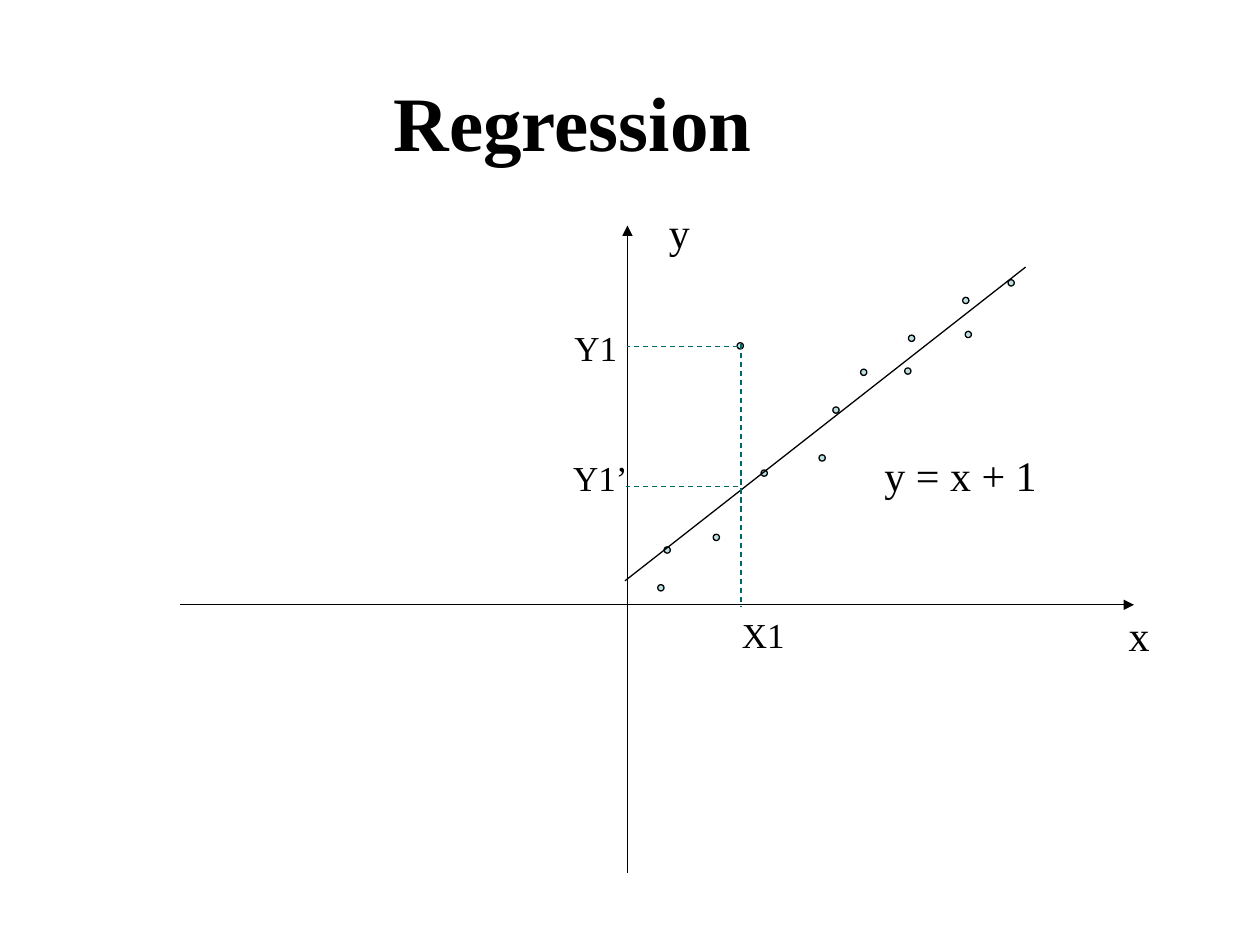
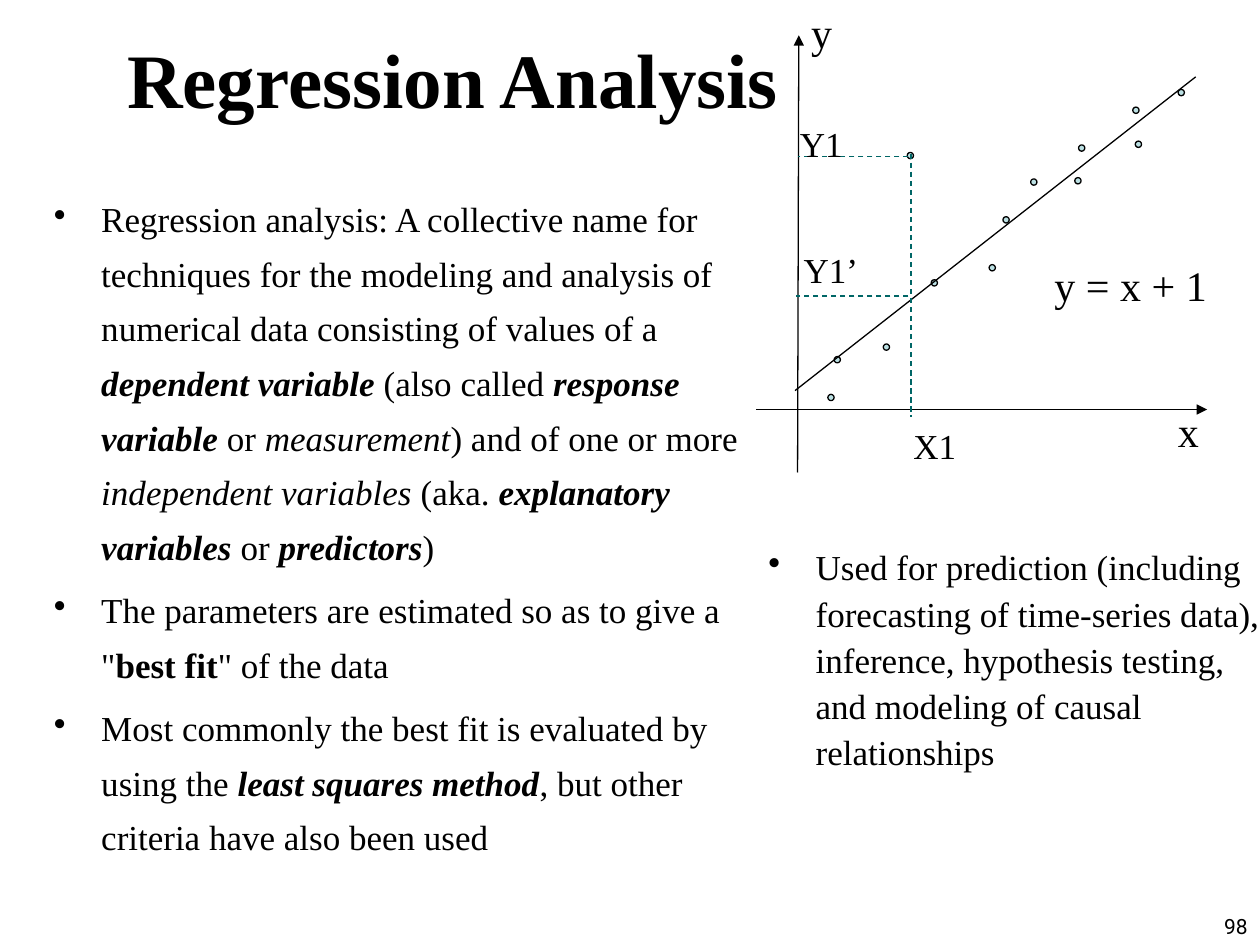
from lxml.etree import SubElement
from pptx import Presentation
from pptx.dml.color import RGBColor
from pptx.enum.dml import MSO_LINE
from pptx.enum.shapes import MSO_CONNECTOR, MSO_SHAPE
from pptx.enum.text import MSO_ANCHOR, MSO_AUTO_SIZE, PP_ALIGN
from pptx.oxml.ns import qn
from pptx.util import Inches, Pt

WIDTH, HEIGHT = Inches(10), Inches(7.5)
COLUMNS, ROWS = 100, 75
BLACK, TEAL, PALE = "000000", "006666", "BBE0E3"
SERIF, SANS = "Times New Roman", "Roboto"
TITLE_ONLY = 5
DOT = 0.5

# Columns right of the origin, rows above it
POINTS = [
    (2.65, 1.35), (3.15, 4.35), (7.05, 5.35), (10.85, 10.45), (15.45, 11.65),
    (16.55, 15.45), (18.75, 18.45), (22.25, 18.55), (22.55, 21.15),
    (27.05, 21.45), (26.85, 24.15), (30.45, 25.55), (8.95, 20.55),
]
FIT_LINE = (-0.2, 1.9), (31.6, 26.8)
GUIDES = [
    ((9, 20.7), (9, -0.2)),
    ((8.8, 20.5), (0, 20.5)),
    ((8.8, 9.4), (-0.1, 9.4)),
]
# Size in points, width in columns, height in rows
LABEL_SIZES = {
    "x": (24, 3.6, 5), "y": (24, 3.6, 5), "y = x + 1": (24, 14.1, 5),
    "X1": (20, 5.4, 4.4), "Y1": (20, 5.4, 4.4), "Y1’": (20, 6.3, 4.4),
}

REGRESSION_PLOT = {
    "origin": (49.8, 48),
    "axes": [((14.3, 48), (90, 48)), ((49.8, 69.3), (49.8, 17.9))],
    "labels": {"x": (88.6, 47.9), "y": (52.1, 15.9), "y = x + 1": (69.2, 35.2),
               "X1": (57.9, 48.2), "Y1": (44.6, 25.4), "Y1’": (44.5, 35.7)},
}
ANALYSIS_PLOT = {
    "origin": (63.3, 32.9),
    "axes": [((60, 32.5), (95.8, 32.5)), ((63.3, 37.5), (63.4, 2.8))],
    "labels": {"x": (92.5, 31.7), "y": (63.4, 0), "y = x + 1": (82.7, 20.1),
               "X1": (71.5, 33.2), "Y1": (62.5, 9.2), "Y1’": (62.8, 19.2)},
}

# Each run is its text and its style: b for bold, i for italic
DEFINITION = [
    [("Regression analysis: A collective name for techniques for the modeling "
      "and analysis of numerical data consisting of values of a ", ""),
     ("dependent variable ", "bi"), ("(also called ", ""),
     ("response variable ", "bi"), ("or ", ""), ("measurement", "i"),
     (") and of one or more ", ""), ("independent variables", "i"),
     (" (aka. ", ""), ("explanatory variables ", "bi"), ("or ", ""),
     ("predictors", "bi"), (")", "")],
    [('The parameters are estimated so as to give a "', ""),
     ("best fit", "b"), ('" of the data', "")],
    [("Most commonly the best fit is evaluated by using the ", ""),
     ("least squares method", "bi"),
     (", but other criteria have also been used", "")],
]
USES = [
    [("Used for prediction (including forecasting of time-series data), "
      "inference, hypothesis testing, and modeling of causal relationships", "")],
]


def rgb(value):
    """Turn a hex string into a colour."""
    return RGBColor.from_string(value)


def grid(*lengths):
    """Turn alternating columns and rows into slide lengths."""
    steps = WIDTH / COLUMNS, HEIGHT / ROWS
    return [round(n * steps[i % 2]) for i, n in enumerate(lengths)]


def assign(target, **values):
    """Set each named attribute on the target."""
    for name, value in values.items():
        setattr(target, name, value)


def add_run(p, text, size, font=SERIF, style=""):
    """Add a run of black text to a paragraph."""
    r = p.add_run()
    r.text = text
    assign(r.font, size=Pt(size), name=font, bold="b" in style, italic="i" in style)
    r.font.color.rgb = rgb(BLACK)


def add_title(slide, text, box):
    """Fill and place the title placeholder."""
    sp = slide.shapes.title
    assign(sp, **dict(zip(("left", "top", "width", "height"), grid(*box))))
    tf = sp.text_frame
    assign(tf, vertical_anchor=MSO_ANCHOR.MIDDLE, auto_size=MSO_AUTO_SIZE.NONE,
           word_wrap=True)
    p = tf.paragraphs[0]
    p.alignment = PP_ALIGN.CENTER
    add_run(p, text, 44, style="b")


def add_text(shapes, box, **frame):
    """Add a text box and return its frame."""
    tf = shapes.add_textbox(*grid(*box)).text_frame
    assign(tf, **frame)
    return tf


def add_label(shapes, text, place):
    """Add a one-line plot label that does not wrap."""
    size, width, height = LABEL_SIZES[text]
    tf = add_text(shapes, (*place, width, height), word_wrap=False,
                  auto_size=MSO_AUTO_SIZE.SHAPE_TO_FIT_TEXT)
    add_run(tf.paragraphs[0], text, size)


def add_bullets(slide, box, items, spacing):
    """Add a text box of bulleted paragraphs."""
    tf = add_text(slide.shapes, box, word_wrap=True)
    for i, runs in enumerate(items):
        p = tf.add_paragraph() if i else tf.paragraphs[0]
        assign(p, line_spacing=spacing, space_before=Pt(5))
        pPr = p._p.get_or_add_pPr()
        indent = Inches(0.375)
        pPr.set("marL", str(indent))
        pPr.set("indent", str(-indent))
        SubElement(SubElement(pPr, qn("a:buClr")), qn("a:srgbClr"), val=BLACK)
        SubElement(pPr, qn("a:buChar"), char="•")
        for text, style in runs:
            add_run(p, text, 20, style=style)


def add_page_number(slide, number):
    """Put the page number in the bottom right corner."""
    tf = add_text(slide.shapes, (79.2, 70.8, 20.8, 4.2), word_wrap=True,
                  vertical_anchor=MSO_ANCHOR.BOTTOM)
    p = tf.paragraphs[0]
    p.alignment = PP_ALIGN.RIGHT
    add_run(p, number, 12, SANS)


def add_line(shapes, start, end, color=BLACK, dashed=False, arrow=False):
    """Add a thin straight line, dashed or with an arrowhead if asked."""
    line = shapes.add_connector(MSO_CONNECTOR.STRAIGHT, *grid(*start, *end))
    line.line.width = Pt(0.75)
    line.line.color.rgb = rgb(color)
    if dashed:
        line.line.dash_style = MSO_LINE.DASH
    if arrow:
        SubElement(line.line._get_or_add_ln(), qn("a:tailEnd"), type="triangle")
    SubElement(line._element.spPr, qn("a:effectLst"))


def add_dot(shapes, center):
    """Add a data point around its centre."""
    x, y = center
    sp = shapes.add_shape(MSO_SHAPE.OVAL,
                          *grid(x - DOT / 2, y - DOT / 2, DOT, DOT))
    sp.shadow.inherit = False
    sp.fill.solid()
    sp.fill.fore_color.rgb = rgb(PALE)
    sp.line.width = Pt(0.75)
    sp.line.color.rgb = rgb(BLACK)


def add_plot(shapes, origin, axes, labels):
    """Draw the scatter plot with its axes, fitted line and guides."""
    def place(point):
        """Move a plot point to its column and row on the slide."""
        return origin[0] + point[0], origin[1] - point[1]

    for start, end in axes:
        add_line(shapes, start, end, arrow=True)
    for point in POINTS:
        add_dot(shapes, place(point))
    add_line(shapes, *map(place, FIT_LINE))
    for guide in GUIDES:
        add_line(shapes, *map(place, guide), color=TEAL, dashed=True)
    for text, corner in labels.items():
        add_label(shapes, text, corner)


def add_slide(prs, title, box):
    """Add a title-only slide."""
    slide = prs.slides.add_slide(prs.slide_layouts[TITLE_ONLY])
    add_title(slide, title, box)
    return slide


def main():
    """Build both slides and save them."""
    prs = Presentation()
    assign(prs, slide_width=WIDTH, slide_height=HEIGHT)

    s = add_slide(prs, "Regression", (8.5, 3.3, 73.9, 12.5))
    add_plot(s.shapes, **REGRESSION_PLOT)

    s = add_slide(prs, "Regression Analysis", (1.8, 2.8, 68.3, 6.7))
    add_page_number(s, "98")
    add_bullets(s, (3.3, 14.2, 59.2, 56.7), DEFINITION, 1.3)
    add_bullets(s, (60, 42.5, 41.7, 25), USES, 1.1)
    add_plot(s.shapes.add_group_shape().shapes, **ANALYSIS_PLOT)

    prs.save("out.pptx")


if __name__ == "__main__":
    main()
